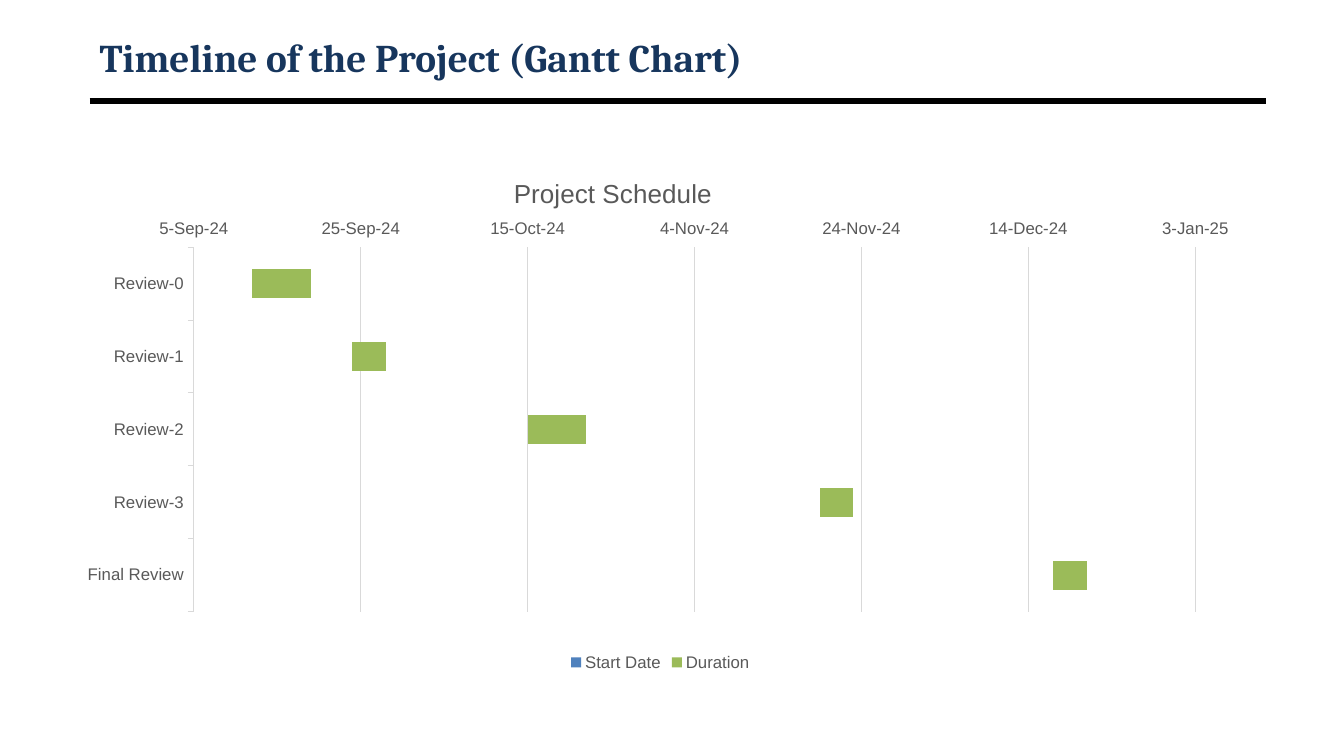
"""Build a slide with a Gantt chart of the project reviews."""
from dataclasses import dataclass

from lxml import etree
from pptx import Presentation
from pptx.chart.data import CategoryChartData
from pptx.dml.color import RGBColor
from pptx.enum.chart import XL_CHART_TYPE, XL_LEGEND_POSITION, XL_TICK_MARK
from pptx.enum.shapes import MSO_CONNECTOR
from pptx.enum.text import MSO_ANCHOR
from pptx.oxml.ns import qn
from pptx.util import Pt

BAR_STACKED = XL_CHART_TYPE.BAR_STACKED
LEGEND_BOTTOM = XL_LEGEND_POSITION.BOTTOM
TICK_OUTSIDE = XL_TICK_MARK.OUTSIDE
TICK_NONE = XL_TICK_MARK.NONE
STRAIGHT = MSO_CONNECTOR.STRAIGHT
MIDDLE = MSO_ANCHOR.MIDDLE

BLACK = RGBColor(0x00, 0x00, 0x00)
NAVY = RGBColor(0x17, 0x36, 0x5D)
GRAY = RGBColor(0x59, 0x59, 0x59)
LIGHT_GRAY = RGBColor(0xD9, 0xD9, 0xD9)
BLUE = RGBColor(0x4F, 0x81, 0xBD)
GREEN = RGBColor(0x9B, 0xBB, 0x59)

FIRST_DAY = 45540
LAST_DAY = 45660
DAYS_PER_GRIDLINE = 20


@dataclass(frozen=True)
class Review:
    name: str
    start: int
    duration: int


REVIEWS = [
    Review("Review-0", 45547, 7),
    Review("Review-1", 45559, 4),
    Review("Review-2", 45580, 7),
    Review("Review-3", 45615, 4),
    Review("Final Review", 45643, 4),
]


def style_font(font, name: str, size: float, color: RGBColor, bold: bool = False) -> None:
    font.name = name
    font.size = Pt(size)
    font.bold = bold
    font.color.rgb = color


def style_line(line, color: RGBColor, width: float) -> None:
    line.color.rgb = color
    line.width = Pt(width)


def set_layout(parent, index: int, settings: dict[str, str | float]) -> None:
    for old_layout in parent.findall(qn("c:layout")):
        parent.remove(old_layout)
    layout = etree.Element(qn("c:layout"))
    manual = etree.SubElement(layout, qn("c:manualLayout"))
    for key, value in settings.items():
        etree.SubElement(manual, qn(f"c:{key}")).set("val", str(value))
    parent.insert(index, layout)


def add_heading(slide) -> None:
    heading = slide.shapes.add_textbox(Pt(64), Pt(21.6), Pt(840), Pt(38.2))
    frame = heading.text_frame
    frame.word_wrap = True
    frame.vertical_anchor = MIDDLE
    frame.text = "Timeline of the Project (Gantt Chart)"
    style_font(frame.paragraphs[0].runs[0].font, "Cambria", 28, NAVY, bold=True)


def add_rule(slide) -> None:
    rule = slide.shapes.add_connector(STRAIGHT, Pt(64), Pt(72), Pt(904), Pt(72))
    style_line(rule.line, BLACK, 4.5)
    etree.SubElement(rule.element.spPr, qn("a:effectLst"))


def style_axes(chart) -> None:
    review_axis = chart.category_axis
    review_axis.reverse_order = True
    style_line(review_axis.format.line, LIGHT_GRAY, 0.75)

    date_axis = chart.value_axis
    date_axis.minimum_scale = FIRST_DAY
    date_axis.maximum_scale = LAST_DAY
    date_axis.major_unit = DAYS_PER_GRIDLINE
    date_axis.format.line.fill.background()
    style_line(date_axis.major_gridlines.format.line, LIGHT_GRAY, 0.75)
    date_axis.tick_labels.number_format = "d\\-mmm\\-yy"
    date_axis.tick_labels.number_format_is_linked = False

    for axis in (review_axis, date_axis):
        axis.major_tick_mark = TICK_OUTSIDE
        axis.minor_tick_mark = TICK_NONE
        style_font(axis.tick_labels.font, "Arial", 12, GRAY)


def style_bars(plot) -> None:
    plot.gap_width = 150
    plot.overlap = 100
    plot.vary_by_categories = False
    starts, durations = plot.series
    for series, color in ((starts, BLUE), (durations, GREEN)):
        series.format.fill.solid()
        series.format.fill.fore_color.rgb = color
    for index in range(len(REVIEWS)):
        starts.points[index].format.fill.background()


def add_gantt_chart(slide) -> None:
    data = CategoryChartData()
    data.categories = [review.name for review in REVIEWS]
    data.add_series("Start Date", [review.start for review in REVIEWS])
    data.add_series("Duration", [review.duration for review in REVIEWS])
    chart = slide.shapes.add_chart(
        BAR_STACKED, Pt(56.2), Pt(118.8), Pt(830.9), Pt(363.6), data
    ).chart
    style_font(chart.font, "Arial", 10, BLACK)

    title = chart.chart_title
    title.text_frame.text = "Project Schedule"
    style_font(title.text_frame.paragraphs[0].runs[0].font, "Arial", 18.6, GRAY)
    title_place = {"xMode": "edge", "yMode": "edge", "x": 0.37, "y": 0.01}
    set_layout(title._element, 1, title_place)

    plot_place = {
        "layoutTarget": "inner", "xMode": "edge", "yMode": "edge",
        "x": 0.099, "y": 0.159, "w": 0.861, "h": 0.716,
    }
    set_layout(chart._chartSpace.chart.plotArea, 0, plot_place)

    chart.has_legend = True
    chart.legend.position = LEGEND_BOTTOM
    chart.legend.include_in_layout = False
    style_font(chart.legend.font, "Arial", 12, GRAY)
    style_axes(chart)
    style_bars(chart.plots[0])


def main() -> None:
    presentation = Presentation()
    presentation.slide_width = Pt(960)
    presentation.slide_height = Pt(540)
    slide = presentation.slides.add_slide(presentation.slide_layouts[6])
    add_rule(slide)
    add_heading(slide)
    add_gantt_chart(slide)
    presentation.save("out.pptx")


if __name__ == "__main__":
    main()
